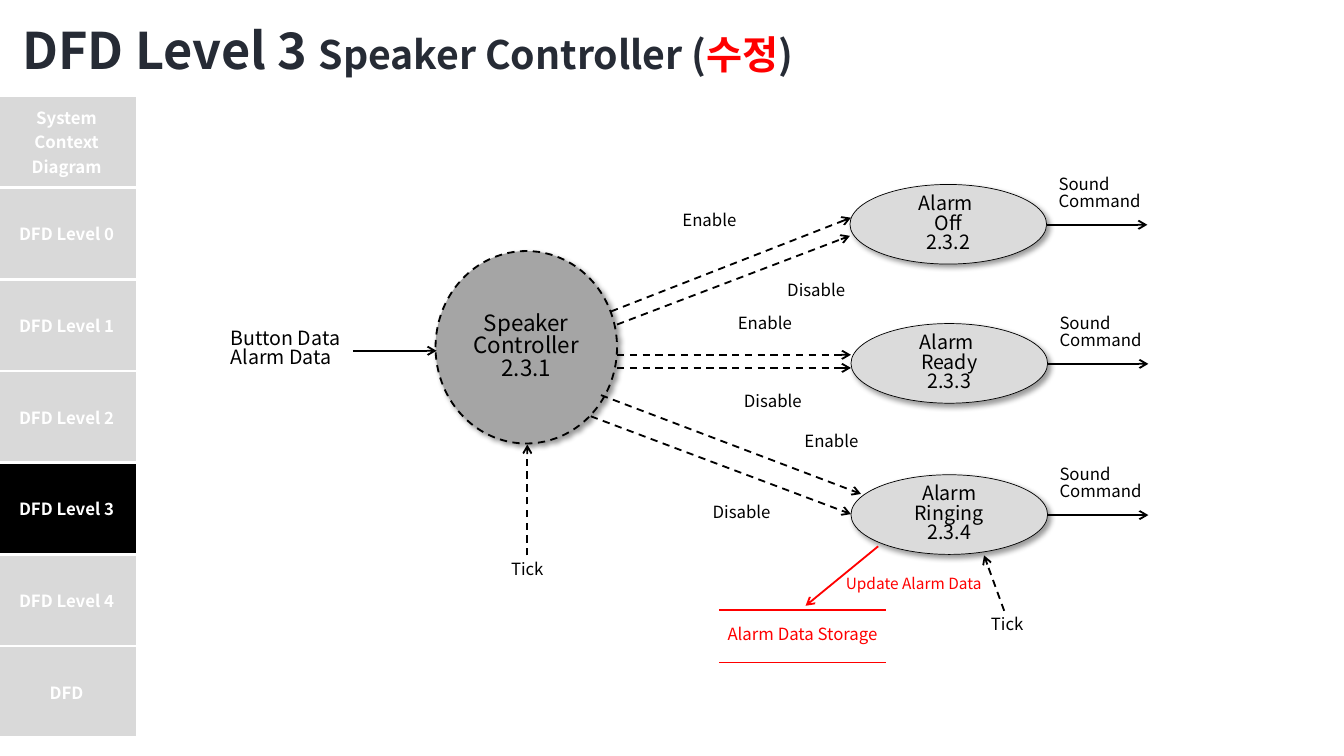
"""Build the DFD Level 3 slide for the speaker controller."""
from dataclasses import dataclass

from lxml import etree
from pptx import Presentation
from pptx.dml.color import RGBColor
from pptx.enum.dml import MSO_LINE
from pptx.enum.shapes import MSO_CONNECTOR, MSO_SHAPE
from pptx.enum.text import MSO_ANCHOR, MSO_AUTO_SIZE, PP_ALIGN
from pptx.oxml.ns import qn
from pptx.util import Inches, Pt

LEFT, CENTER = PP_ALIGN.LEFT, PP_ALIGN.CENTER
MIDDLE = MSO_ANCHOR.MIDDLE
FIT, NO_FIT = MSO_AUTO_SIZE.SHAPE_TO_FIT_TEXT, MSO_AUTO_SIZE.NONE
DASH = MSO_LINE.DASH
OVAL, STRAIGHT = MSO_SHAPE.OVAL, MSO_CONNECTOR.STRAIGHT


@dataclass(frozen=True)
class Theme:
    font: str = "Noto Sans CJK KR"
    black: str = "000000"
    white: str = "FFFFFF"
    red: str = "FF0000"
    title: str = "262B35"
    tab: str = "D9D9D9"
    controller: str = "A5A5A5"
    process: str = "DBDBDB"
    title_size: int = 36
    subtitle_size: int = 28
    controller_size: int = 16
    process_size: int = 14
    label_size: int = 12
    note_size: int = 11
    spacing: float = 0.83
    title_spacing: float = 1.35
    flow_width: float = 1.3


T = Theme()

TITLE = [
    ("DFD Level 3 ", T.title_size, T.title),
    ("Speaker Controller (", T.subtitle_size, T.title),
    ("수정", T.subtitle_size, T.red),
    (")", T.subtitle_size, T.title),
]
TABS = ["System Context Diagram", "DFD Level 0", "DFD Level 1", "DFD Level 2",
        "DFD Level 3", "DFD Level 4", "DFD"]
CURRENT_TAB = "DFD Level 3"
TAB_LEFT, TAB_TOP, TAB_W, TAB_H = -0.03, 0.95, 1.38, 0.91

CONTROLLER = ("Speaker\nController\n2.3.1", (4.32, 2.49, 1.8, 1.91))
PROCESSES = [
    ("Alarm \nOff\n2.3.2", 8.43, 1.83),
    ("Alarm \nReady\n2.3.3", 8.44, 3.21),
    ("Alarm Ringing\n2.3.4", 8.44, 4.71),
]
PROCESS_W, PROCESS_H = 1.95, 0.79

CONTROL_FLOWS = [
    ((6.06, 3.09), (8.44, 2.16)),
    ((6.12, 3.22), (8.43, 2.34)),
    ((6.12, 3.52), (8.44, 3.52)),
    ((6.12, 3.65), (8.44, 3.65)),
    ((5.96, 3.92), (8.54, 4.9)),
    ((5.86, 4.13), (8.44, 5.1)),
    ((5.23, 5.51), (5.23, 4.41)),
    ((9.96, 6.06), (9.76, 5.51)),
]
INPUT_FLOW = ((3.5, 3.48), (4.33, 3.48))
UPDATE_FLOW = ((8.71, 5.42), (7.99, 6.01))
STORAGE_LEFT, STORAGE_RIGHT, STORAGE_YS = 7.13, 8.79, (6.05, 6.57)

LABELS = [
    ("Enable", 6.67, 2.07, 0.83),
    ("Disable", 7.71, 2.76, 0.83),
    ("Enable", 7.22, 3.09, 0.83),
    ("Disable", 7.28, 3.86, 0.83),
    ("Enable", 7.88, 4.26, 0.83),
    ("Disable", 6.97, 4.96, 0.83),
    ("Tick", 4.97, 5.53, 0.59),
    ("Tick", 9.73, 6.07, 0.65),
]


def rgb(value):
    return RGBColor.from_string(value)


def style_run(r, size, color, bold=False):
    r.font.name, r.font.size, r.font.bold = T.font, Pt(size), bold
    r.font.color.rgb = rgb(color)
    ea = etree.SubElement(r.font._element, qn("a:ea"))
    ea.set("typeface", T.font)


def write(tf, text, size, color=T.black, align=LEFT, spacing=T.spacing, bold=False):
    tf.text = text
    for p in tf.paragraphs:
        p.alignment, p.line_spacing = align, spacing
        for r in p.runs:
            style_run(r, size, color, bold)


def add_label(s, text, x, y, w, h=0.3, size=T.label_size, color=T.black, align=LEFT):
    tf = s.shapes.add_textbox(*map(Inches, (x, y, w, h))).text_frame
    tf.word_wrap, tf.auto_size = True, FIT
    write(tf, text, size, color, align)


def add_ellipse(s, text, box, fill, size, width, dash=None):
    sp = s.shapes.add_shape(OVAL, *map(Inches, box))
    sp.fill.solid()
    sp.fill.fore_color.rgb = rgb(fill)
    sp.line.color.rgb = rgb(T.black)
    sp.line.width = Pt(width)
    if dash:
        sp.line.dash_style = dash
    sp.shadow.inherit = False
    effects = sp._element.spPr.find(qn("a:effectLst"))
    shadow = etree.SubElement(effects, qn("a:outerShdw"), blurRad=str(Pt(4)),
                              dist=str(Pt(3)), dir="2700000", algn="tl", rotWithShape="0")
    color = etree.SubElement(shadow, qn("a:srgbClr"), val=T.black)
    etree.SubElement(color, qn("a:alpha"), val="40000")
    sp.text_frame.word_wrap = True
    sp.text_frame.vertical_anchor = MIDDLE
    write(sp.text_frame, text, size, align=CENTER)


def add_line(s, start, end, color=T.black, width=T.flow_width, dash=None, arrow=True):
    line = s.shapes.add_connector(STRAIGHT, *map(Inches, (*start, *end)))
    line.line.color.rgb = rgb(color)
    line.line.width = Pt(width)
    if dash:
        line.line.dash_style = dash
    spPr = line._element.spPr
    if arrow:
        etree.SubElement(spPr.find(qn("a:ln")), qn("a:tailEnd"), type="arrow")
    etree.SubElement(spPr, qn("a:effectLst"))


def add_title(s):
    sp = s.shapes.title
    sp.left, sp.top, sp.width, sp.height = map(Inches, (0.01, -0.06, 13.33, 0.89))
    tf = sp.text_frame
    tf.word_wrap, tf.auto_size, tf.vertical_anchor = True, NO_FIT, MIDDLE
    tf.margin_left = Inches(0.21)
    p = tf.paragraphs[0]
    p.alignment, p.line_spacing = LEFT, T.title_spacing
    for text, size, color in TITLE:
        r = p.add_run()
        r.text = text
        style_run(r, size, color, bold=True)


def add_tabs(s):
    box = (TAB_LEFT, TAB_TOP, TAB_W, TAB_H * len(TABS))
    table = s.shapes.add_table(len(TABS), 1, *map(Inches, box)).table
    table.first_row = table.horz_banding = False
    for i, name in enumerate(TABS):
        table.rows[i].height = Inches(TAB_H)
        cell = table.cell(i, 0)
        cell.vertical_anchor = MIDDLE
        write(cell.text_frame, name, T.label_size, T.white, CENTER, 1.0, True)
        tcPr = cell._tc.get_or_add_tcPr()
        for side in ("a:lnT", "a:lnB"):
            ln = etree.SubElement(tcPr, qn(side), w=str(Pt(2.25)))
            fill = etree.SubElement(ln, qn("a:solidFill"))
            etree.SubElement(fill, qn("a:srgbClr"), val=T.white)
        cell.fill.solid()
        cell.fill.fore_color.rgb = rgb(T.black if name == CURRENT_TAB else T.tab)


prs = Presentation()
prs.slide_width, prs.slide_height = Inches(13.33), Inches(7.5)
s = prs.slides.add_slide(prs.slide_layouts[5])
add_tabs(s)
add_title(s)
add_ellipse(s, *CONTROLLER, T.controller, T.controller_size, T.flow_width, DASH)
for text, x, y in PROCESSES:
    add_ellipse(s, text, (x, y, PROCESS_W, PROCESS_H), T.process, T.process_size, 0.5)
    right, mid = x + PROCESS_W, y + 0.4
    add_line(s, (right, mid), (right + 1, mid))
    add_label(s, "Sound Command", right + 0.02, y - 0.12, 1.31, 0.5)
for start, end in CONTROL_FLOWS:
    add_line(s, start, end, dash=DASH)
for label in LABELS:
    add_label(s, *label)
add_line(s, *INPUT_FLOW)
add_label(s, "Button Data\nAlarm Data", 2.19, 3.22, 1.31, 0.57, T.process_size)
for y in STORAGE_YS:
    add_line(s, (STORAGE_LEFT, y), (STORAGE_RIGHT, y), T.red, 1, arrow=False)
add_label(s, "Alarm Data Storage", 6.85, 6.17, 2.22, color=T.red, align=CENTER)
add_line(s, *UPDATE_FLOW, T.red)
add_label(s, "Update Alarm Data", 8.29, 5.68, 1.88, 0.29, T.note_size, T.red)
prs.save("out.pptx")
